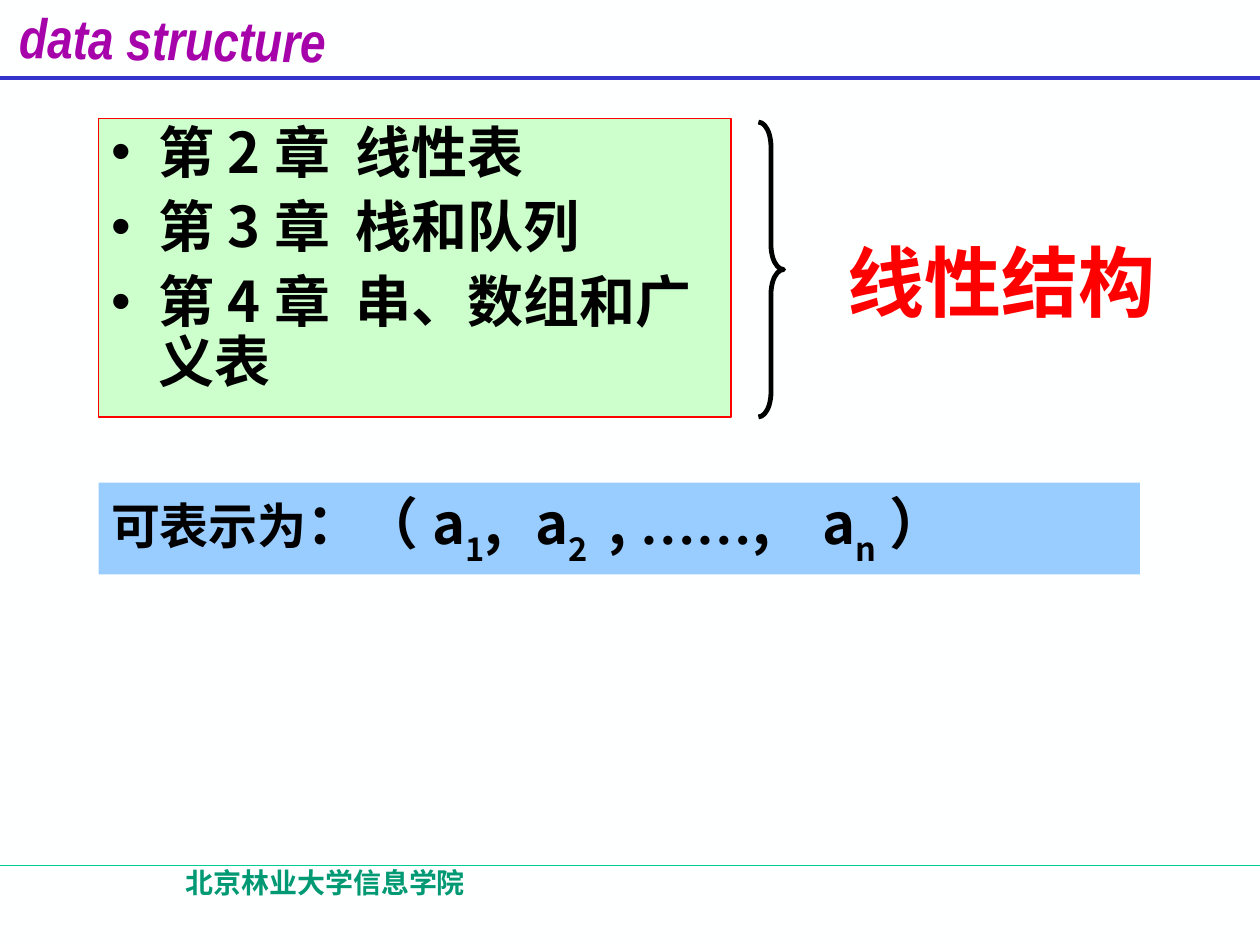
from lxml import etree
from pptx import Presentation
from pptx.dml.color import RGBColor
from pptx.enum.shapes import MSO_CONNECTOR, MSO_SHAPE
from pptx.enum.text import MSO_ANCHOR, PP_ALIGN
from pptx.oxml.ns import qn
from pptx.util import Pt

LINE = MSO_CONNECTOR.STRAIGHT
RECT, BRACE = MSO_SHAPE.RECTANGLE, MSO_SHAPE.RIGHT_BRACE
TOP, MID = MSO_ANCHOR.TOP, MSO_ANCHOR.MIDDLE
LEFT, CENTER = PP_ALIGN.LEFT, PP_ALIGN.CENTER
WHITE = RGBColor(0xFE, 0xFF, 0xFF)
BLACK = RGBColor(0, 0, 0)
RED = RGBColor(0xFF, 0, 0)
PURPLE = RGBColor(0xA6, 0x03, 0xAB)
NAVY = RGBColor(0x33, 0x33, 0xCC)
TEAL = RGBColor(0, 0xCC, 0x99)
GREEN = RGBColor(0, 0x99, 0x73)
MINT = RGBColor(0xCC, 0xFF, 0xCC)
SKY = RGBColor(0x99, 0xCC, 0xFF)
SANS, SERIF, NARROW = "Noto Sans CJK SC", "Times New Roman", "Arial Narrow"


def add_run(para, text, size, color, face=SANS):
    run = para.add_run()
    run.text = text
    font = run.font
    font.size, font.bold, font.name = Pt(size), True, face
    font.color.rgb = color
    etree.SubElement(run._r.rPr, qn("a:ea"), typeface=SANS)
    return run


def add_tabs(para, *stops):
    tabs = etree.SubElement(para._p.get_or_add_pPr(), qn("a:tabLst"))
    for stop in stops:
        etree.SubElement(tabs, qn("a:tab"), pos=str(Pt(stop)), algn="l")


prs = Presentation()
prs.slide_width, prs.slide_height = Pt(720), Pt(540)
slide = prs.slides.add_slide(prs.slide_layouts[6])
slide.background.fill.solid()
slide.background.fill.fore_color.rgb = WHITE
shapes = slide.shapes

# Header and footer rules
for y, color, width in ((494.64, TEAL, 0.75), (44.6, NAVY, 2.25)):
    rule = shapes.add_connector(LINE, Pt(0), Pt(y), Pt(720), Pt(y))
    rule.line.color.rgb = color
    rule.line.width = Pt(width)
    etree.SubElement(rule._element.spPr, qn("a:effectLst"))

# Header, footer and red label
labels = (
    ("data structure", 4, -0.7, 210, 39, 32, PURPLE, NARROW, LEFT),
    ("北京林业大学信息学院", 37, 491.2, 298, 36, 16, GREEN, SANS, CENTER),
    ("线性结构", 473.5, 130.3, 198, 60.5, 44, RED, SERIF, CENTER),
)
for text, x, y, w, h, size, color, face, align in labels:
    box = shapes.add_textbox(Pt(x), Pt(y), Pt(w), Pt(h))
    frame = box.text_frame
    frame.word_wrap = True
    para = frame.paragraphs[0]
    para.alignment = align
    run = add_run(para, text, size, color, face)
    if face == NARROW:
        box.rotation = 0.8
        run.font.italic = True

# Brace
brace = shapes.add_shape(BRACE, Pt(433.4), Pt(69.8), Pt(14.4), Pt(168.5))
brace.shadow.inherit = False
brace.fill.background()
brace.line.color.rgb = BLACK
brace.line.width = Pt(2.75)
brace.adjustments[0] = 0.98

# Panels
panels = []
for y, w, h, fill, anchor in ((275.8, 595, 52.4, SKY, MID),
                              (67.7, 361.4, 170.6, MINT, TOP)):
    panel = shapes.add_shape(RECT, Pt(56.4), Pt(y), Pt(w), Pt(h))
    panel.shadow.inherit = False
    panel.fill.solid()
    panel.fill.fore_color.rgb = fill
    panel.line.fill.background()
    panel.text_frame.word_wrap = True
    panel.text_frame.vertical_anchor = anchor
    panels.append(panel)
note, card = panels

# Formula
para = note.text_frame.paragraphs[0]
para.alignment = LEFT
add_tabs(para, 242.5, 284.5, 406.5)
add_run(para, "可表示为", 28, BLACK)
parts = (("：（a", 0), ("1", 1), (",\ta", 0), ("2", 1), ("\t, ", 0),
         ("……", 0), (",\ta", 0), ("n", 1), ("）", 0))
for text, sub in parts:
    run = add_run(para, text, 32, BLACK, SERIF if text == "……" else SANS)
    if sub:
        run.font._element.set("baseline", "-30000")

# Chapter list
card.line.color.rgb = RED
card.line.width = Pt(0.75)
frame = card.text_frame
for i, name in enumerate(("线性表", "栈和队列", "串、数组和广义表")):
    para = frame.add_paragraph() if i else frame.paragraphs[0]
    para.alignment = LEFT
    para.line_spacing = 0.9
    if i:
        para.space_before = Pt(8)
    props = para._p.get_or_add_pPr()
    props.set("marL", str(Pt(27)))
    props.set("indent", str(Pt(-27)))
    color = etree.SubElement(props, qn("a:buClr"))
    etree.SubElement(color, qn("a:srgbClr"), val=str(BLACK))
    etree.SubElement(props, qn("a:buFont"), typeface="Arial")
    etree.SubElement(props, qn("a:buChar"), char="•")
    add_tabs(para, 139.4)
    add_run(para, f"第{i + 2}章\t{name}", 32, BLACK)

prs.save("out.pptx")
